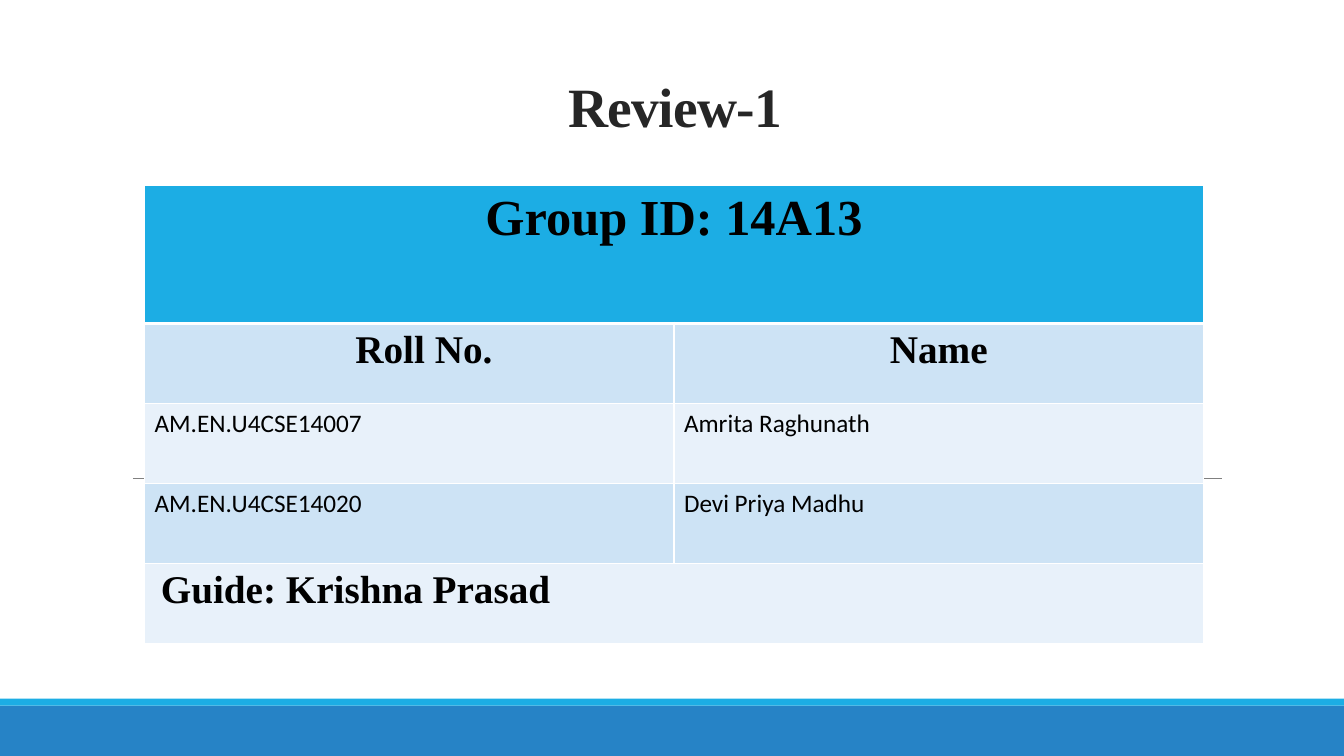
from lxml import etree
from pptx import Presentation
from pptx import util as u
from pptx.dml.color import RGBColor
from pptx.enum import shapes, text
from pptx.oxml.ns import qn

SERIF, SANS = "Times New Roman", "Calibri"
CENTER, LEFT = text.PP_ALIGN.CENTER, text.PP_ALIGN.LEFT
WIDTH, HEIGHT = 960, 540

TITLE = "Review-1"
ROWS = [
    ["Group ID: 14A13"],
    ["Roll No.", "Name"],
    ["AM.EN.U4CSE14007", "Amrita Raghunath"],
    ["AM.EN.U4CSE14020", "Devi Priya Madhu"],
    ["Guide: Krishna Prasad"],
]
# font, size, bold, alignment of each row
ROW_STYLES = [
    (SERIF, 36, True, CENTER),
    (SERIF, 28, True, CENTER),
    (SANS, 18, False, LEFT),
    (SANS, 18, False, LEFT),
    (SERIF, 28, True, LEFT),
]
ROW_HEIGHTS = [98.6] + [57.1] * 4
COLUMN_WIDTH = 378.2
LEFT_INSETS = {(1, 0): 28.2, (4, 0): 11.7}
HEADER_FILL, BAND_FILLS = "1CADE4", ("E8F1FA", "CDE3F5")
FOOTER_BARS = [(504, 36, "2683C6"), (499, 5, "1CADE4")]  # top, height, fill


def color(value):
    """Turn a hex string into a colour."""
    return RGBColor.from_string(value)


def format_paragraph(paragraph, font, size, bold, alignment, fill="000000"):
    """Style a paragraph and its runs."""
    paragraph.alignment = alignment
    for run in paragraph.runs:
        run.font.name, run.font.size, run.font.bold = font, u.Pt(size), bold
        run.font.color.rgb = color(fill)


def add_borders(cell, top, bottom):
    """Give a cell white borders, with top and bottom widths in points."""
    properties = cell._tc.get_or_add_tcPr()
    for side, width in (("L", 1), ("R", 1), ("T", top), ("B", bottom)):
        line = etree.SubElement(properties, qn("a:ln" + side), w=str(u.Pt(width)))
        fill = etree.SubElement(line, qn("a:solidFill"))
        etree.SubElement(fill, qn("a:srgbClr"), val="FFFFFF")


def add_background(slide):
    """Draw the footer bars and the thin rule."""
    for top, height, fill in FOOTER_BARS:
        bar = slide.shapes.add_shape(shapes.MSO_SHAPE.RECTANGLE, 0, u.Pt(top),
                                     u.Pt(WIDTH), u.Pt(height))
        bar.shadow.inherit = False
        bar.fill.solid()
        bar.fill.fore_color.rgb = color(fill)
        bar.line.fill.background()
    rule = slide.shapes.add_connector(shapes.MSO_CONNECTOR.STRAIGHT, u.Pt(95),
                                      u.Pt(342), u.Pt(872.6), u.Pt(342))
    rule.line.color.rgb = color("808080")
    rule.line.width = u.Pt(0.5)
    etree.SubElement(rule._element.spPr, qn("a:effectLst"))


def add_title(slide):
    """Write the slide title."""
    box = slide.shapes.add_textbox(u.Pt(86.4), u.Pt(59.8), u.Pt(792), u.Pt(43.2))
    frame = box.text_frame
    frame.word_wrap = True
    frame.vertical_anchor = text.MSO_ANCHOR.BOTTOM
    frame.text = TITLE
    paragraph = frame.paragraphs[0]
    paragraph.line_spacing = 0.85
    format_paragraph(paragraph, SERIF, 39.6, True, CENTER, "262626")
    paragraph.runs[0]._r.get_or_add_rPr().set("spc", "-50")


def add_group_table(slide):
    """Build the group table; a row with one entry spans both columns."""
    table = slide.shapes.add_table(len(ROWS), 2, u.Pt(103.2), u.Pt(132.5),
                                   u.Pt(2 * COLUMN_WIDTH),
                                   u.Pt(sum(ROW_HEIGHTS))).table
    for column in table.columns:
        column.width = u.Pt(COLUMN_WIDTH)
    for row, entries in enumerate(ROWS):
        table.rows[row].height = u.Pt(ROW_HEIGHTS[row])
        for column in range(2):
            cell = table.cell(row, column)
            add_borders(cell, 3 if row == 1 else 1, 3 if row == 0 else 1)
            cell.fill.solid()
            cell.fill.fore_color.rgb = color(BAND_FILLS[row % 2] if row else HEADER_FILL)
        if len(entries) == 1:
            table.cell(row, 0).merge(table.cell(row, 1))
        for column, entry in enumerate(entries):
            cell = table.cell(row, column)
            cell.margin_left = u.Pt(LEFT_INSETS.get((row, column), 7.2))
            cell.text_frame.text = entry
            format_paragraph(cell.text_frame.paragraphs[0], *ROW_STYLES[row])


presentation = Presentation()
presentation.slide_width, presentation.slide_height = u.Pt(WIDTH), u.Pt(HEIGHT)
slide = presentation.slides.add_slide(presentation.slide_layouts[6])
add_background(slide)
add_title(slide)
add_group_table(slide)
presentation.save("out.pptx")
